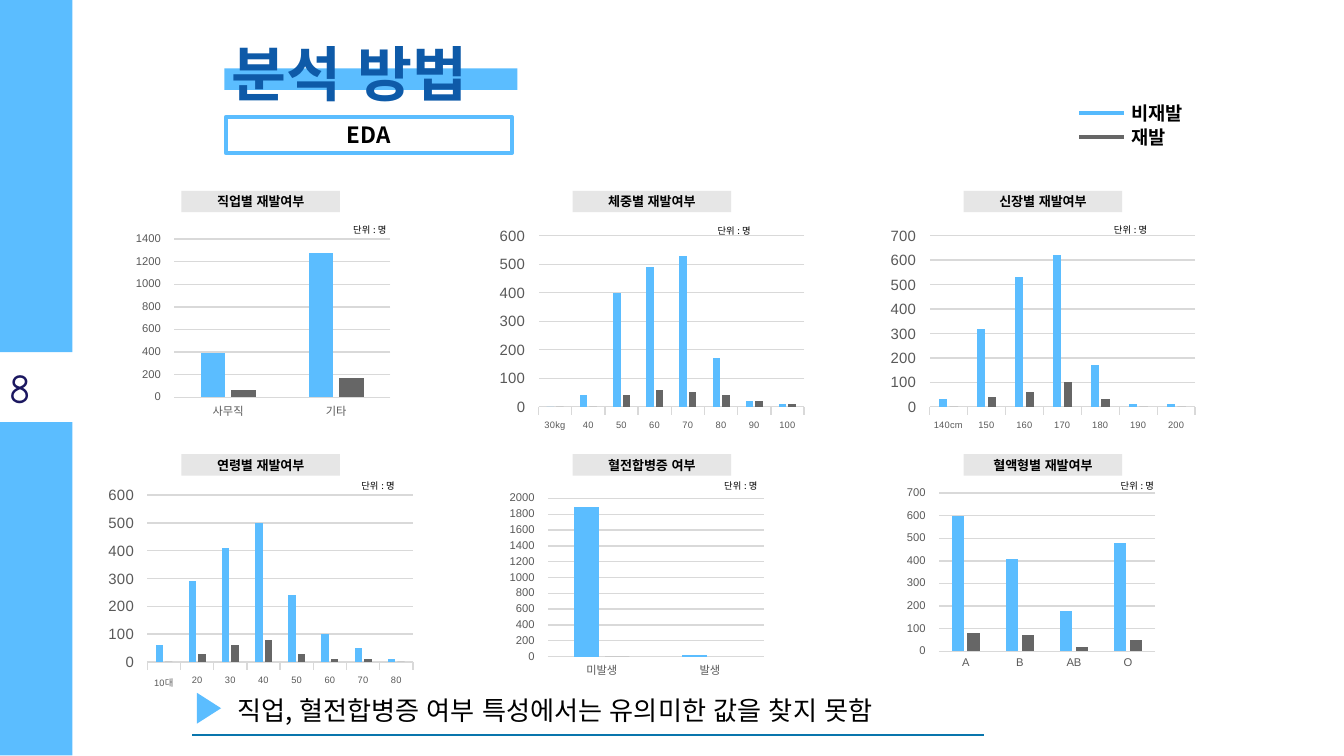
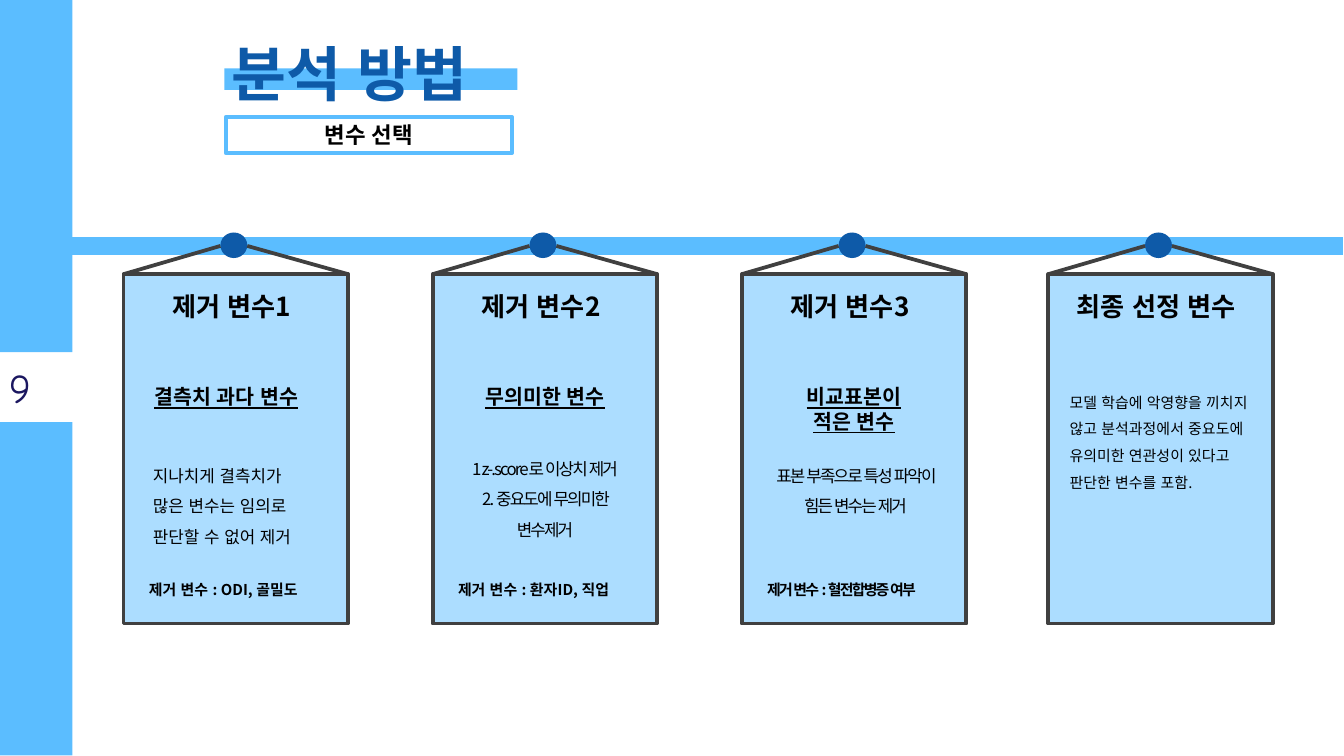
from lxml import etree
from pptx import Presentation
from pptx.chart.data import CategoryChartData
from pptx.dml.color import RGBColor
from pptx.enum.chart import XL_CHART_TYPE, XL_TICK_MARK
from pptx.enum.lang import MSO_LANGUAGE_ID
from pptx.enum.shapes import MSO_CONNECTOR, MSO_SHAPE
from pptx.enum.text import MSO_ANCHOR, PP_ALIGN
from pptx.oxml import parse_xml
from pptx.oxml.ns import nsdecls, qn
from pptx.util import Pt

PX = 9144  # 100 px to the inch
RECT, OVAL, TRIANGLE = MSO_SHAPE.RECTANGLE, MSO_SHAPE.OVAL, MSO_SHAPE.ISOSCELES_TRIANGLE
LEFT, CENTER = PP_ALIGN.LEFT, PP_ALIGN.CENTER
TOP, MIDDLE = MSO_ANCHOR.TOP, MSO_ANCHOR.MIDDLE
COLUMNS = XL_CHART_TYPE.COLUMN_CLUSTERED
TICK_OUT, TICK_NONE = XL_TICK_MARK.OUTSIDE, XL_TICK_MARK.NONE
STRAIGHT = MSO_CONNECTOR.STRAIGHT
KOREAN_LANGUAGE = MSO_LANGUAGE_ID.KOREAN

COLORS = {
    "sky": "5BBDFF", "legend_sky": "55BAFD", "blue": "0E5AA8", "rule": "0976AD",
    "navy": "1B1760", "gray": "666666", "label": "E6E6E6", "grid": "D9D9D9",
    "axis": "595959", "frame": "404040", "white": "FFFFFF", "black": "000000",
}
KOREAN, LATIN, NUMBER = "Noto Sans CJK KR", "Arial", "Comic Neue"

TITLE = "분석 방법"
UNIT = "단위 : 명"
FINDING = "직업, 혈전합병증 여부 특성에서는 유의미한 값을 찾지 못함"
LEGEND = [("비재발", "legend_sky", 84), ("재발", "gray", 102)]

# "few" charts have a fixed plot area; "scale" is the axis maximum and its step
CHARTS = [
    {"label": "직업별 재발여부", "at": (76, 166), "unit_at": (253, 162), "few": True,
     "scale": (1400, 200), "categories": ["사무직", "기타"],
     "series": [[390, 1280], [60, 170]]},
    {"label": "체중별 재발여부", "at": (367, 166), "unit_at": (524, 163), "few": False,
     "scale": (600, 100), "categories": ["30kg", "40", "50", "60", "70", "80", "90", "100"],
     "series": [[0, 40, 400, 490, 530, 170, 20, 10], [0, 0, 40, 60, 50, 40, 20, 10]]},
    {"label": "신장별 재발여부", "at": (658, 166), "unit_at": (819, 162), "few": False,
     "scale": (700, 100), "categories": ["140cm", "150", "160", "170", "180", "190", "200"],
     "series": [[30, 320, 530, 620, 170, 10, 10], [0, 40, 60, 100, 30, 0, 0]]},
    {"label": "연령별 재발여부", "at": (76, 359), "unit_at": (259, 352), "few": False,
     "scale": (600, 100), "categories": ["10대", "20", "30", "40", "50", "60", "70", "80"],
     "series": [[60, 290, 410, 500, 240, 100, 50, 10], [0, 30, 60, 80, 30, 10, 10, 0]]},
    {"label": "혈전합병증 여부", "at": (354, 359), "unit_at": (529, 352), "few": True,
     "scale": (2000, 200), "categories": ["미발생", "발생"],
     "series": [[1890, 20], [0]]},
    {"label": "혈액형별 재발여부", "at": (645, 355), "unit_at": (824, 352), "few": True,
     "scale": (700, 100), "categories": ["A", "B", "AB", "O"],
     "series": [[600, 410, 180, 480], [80, 70, 20, 50]]},
]

# "body_box" is the offset from the card's left edge, the top and the width
CARDS = [
    {"left": 92, "name": "제거 변수1", "reason": ["결측치 과다 변수"], "reason_align": LEFT,
     "body": ["지나치게 결측치가", "많은 변수는 임의로", "판단할 수 없어 제거"],
     "body_box": (12, 334, 194), "body_style": {"size": 9},
     "removed": "제거 변수 : ODI, 골밀도"},
    {"left": 322, "name": "제거 변수2", "reason": ["무의미한 변수"],
     "body": ["1 z-.score로 이상치 제거", "2. 중요도에 무의미한 변수제거"],
     "body_box": (8, 329, 151), "body_style": {"size": 9, "align": CENTER, "tracking": -1},
     "removed": "제거 변수 : 환자ID, 직업"},
    {"left": 552, "name": "제거 변수3", "reason": ["비교표본이", "적은 변수"],
     "body": ["표본 부족으로 특성 파악이 힘든 변수는 제거"],
     "body_box": (11, 334, 147), "body_style": {"size": 9, "align": CENTER, "tracking": -1},
     "removed": "제거 변수 : 혈전합병증 여부", "removed_tracking": -1},
    {"left": 780, "name": "최종 선정 변수", "reason": [],
     "body": ["모델 학습에 악영향을 끼치지 않고 분석과정에서 중요도에 "
              "유의미한 연관성이 있다고 판단한 변수를 포함."],
     "body_box": (6, 281, 155), "body_style": {"size": 8}, "removed": ""},
]


def rgb(color):
    return RGBColor.from_string(COLORS[color])


def emu(*lengths):
    return [length * PX for length in lengths]


def write(frame, lines, size, color="black", font=KOREAN, bold=False, underline=False,
          align=LEFT, anchor=TOP, spacing=None, tracking=0):
    frame.word_wrap = True
    frame.vertical_anchor = anchor
    frame.text = "\n".join(lines)
    for paragraph in frame.paragraphs:
        paragraph.alignment = align
        if spacing:
            paragraph.line_spacing = spacing
        style = paragraph.font
        style.size, style.bold = Pt(size), bold
        style.underline = underline
        style.language_id = KOREAN_LANGUAGE
        style.color.rgb = rgb(color)
        style.name = font
        properties = paragraph._p.pPr.find(qn("a:defRPr"))
        properties.set("kern", "0")
        etree.SubElement(properties, qn("a:ea")).set("typeface", font)
        if tracking:
            properties.set("spc", str(tracking * 100))


def add_text(slide, box, lines, size, **style):
    write(slide.shapes.add_textbox(*emu(*box)).text_frame, lines, size, **style)


def add_block(slide, box, fill, kind=RECT, outline=None, alpha=None):
    block = slide.shapes.add_shape(kind, *emu(*box))
    block.shadow.inherit = False
    block.fill.solid()
    block.fill.fore_color.rgb = rgb(fill)
    if alpha:
        color = block._element.spPr.find(".//" + qn("a:srgbClr"))
        etree.SubElement(color, qn("a:alpha")).set("val", str(alpha * 1000))
    if outline:
        block.line.color.rgb = rgb(outline)
        block.line.width = Pt(2)
    else:
        block.line.fill.background()
    return block


def add_line(slide, start, end, color, width):
    line = slide.shapes.add_connector(STRAIGHT, *emu(*start, *end))
    line.line.color.rgb = rgb(color)
    line.line.width = Pt(width)
    etree.SubElement(line._element.spPr, qn("a:effectLst"))


def add_page(deck, number, subtitle):
    """Add a slide with the side band, title, subtitle box and page number."""
    slide = deck.slides.add_slide(deck.slide_layouts[5])
    add_block(slide, (167, 51, 218, 16), "sky")
    title = slide.shapes.title
    title.left, title.top, title.width, title.height = emu(162, 22, 553, 63)
    write(title.text_frame, [TITLE], 32, color="blue", bold=True)
    slide.shapes._spTree.append(title._element)  # in front of the highlight bar
    for top, height in ((0, 262), (314, 248)):
        add_block(slide, (0, top, 54, height), "sky")
    add_text(slide, (-3, 265, 77, 47), [str(number)], 22, color="navy", font=NUMBER)
    heading = add_block(slide, (168, 87, 213, 27), "white", outline="sky")
    write(heading.text_frame, [subtitle], 12, bold=True, align=CENTER, anchor=MIDDLE)
    return slide


def fix_plot_area(chart):
    edges = zip("xywh", (0.227, 0.076, 0.682, 0.75))
    modes = '<c:xMode val="edge"/><c:yMode val="edge"/>'
    sizes = "".join(f'<c:{edge} val="{share}"/>' for edge, share in edges)
    area = chart._chartSpace.chart.plotArea
    for old in area.findall(qn("c:layout")):
        area.remove(old)
    area.insert(0, parse_xml(
        f'<c:layout {nsdecls("c")}><c:manualLayout><c:layoutTarget val="inner"/>'
        f"{modes}{sizes}</c:manualLayout></c:layout>"))


def style_axis(axis, size, tick):
    axis.major_tick_mark, axis.minor_tick_mark = tick, TICK_NONE
    font = axis.tick_labels.font
    font.size, font.name = Pt(size), LATIN
    font.color.rgb = rgb("axis")


def style_grid_line(line):
    line.color.rgb = rgb("grid")
    line.width = Pt(0.75)


def add_columns(slide, content):
    data = CategoryChartData()
    data.categories = content["categories"]
    for number, values in enumerate(content["series"], 1):
        data.add_series(f"Series {number}", values)
    chart = slide.shapes.add_chart(COLUMNS, *emu(*content["at"], 236, 157), data).chart
    chart.has_legend = chart.has_title = False
    chart.font.size, chart.font.name = Pt(10), LATIN
    chart.font.color.rgb = rgb("black")

    plot = chart.plots[0]
    plot.gap_width, plot.overlap = 219, -27
    plot.vary_by_categories = False
    for series, color in zip(plot.series, ("sky", "gray")):
        series.format.fill.solid()
        series.format.fill.fore_color.rgb = rgb(color)

    few = content["few"]
    categories, values = chart.category_axis, chart.value_axis
    style_axis(categories, 6 if few else 5, TICK_NONE if few else TICK_OUT)
    style_axis(values, 6 if few else 8, TICK_OUT)
    style_grid_line(categories.format.line)
    style_grid_line(values.major_gridlines.format.line)
    values.format.line.fill.background()
    values.minimum_scale = 0
    values.maximum_scale, values.major_unit = content["scale"]
    if few:
        fix_plot_area(chart)


def build_eda(deck):
    slide = add_page(deck, 8, "EDA")
    for index, content in enumerate(CHARTS):
        row, column = divmod(index, 3)
        add_columns(slide, content)
        label = add_block(slide, (135 + 291 * column, 142 + 196 * row, 118, 16), "label")
        write(label.text_frame, [content["label"]], 7, bold=True, align=CENTER, anchor=MIDDLE)
        add_text(slide, (*content["unit_at"], 52, 19), [UNIT], 5)
    for name, color, y in LEGEND:
        add_line(slide, (803, y), (836, y), color, 2.25)
        add_text(slide, (832, y - 13, 63, 27), [name], 10, font=LATIN, bold=True)
    add_line(slide, (143, 547), (732, 547), "rule", 0.75)
    add_text(slide, (167, 512, 654, 34), [FINDING], 14)
    add_block(slide, (144, 518, 23, 18), "sky", TRIANGLE).rotation = 90


def add_card(slide, card):
    left, width, top, rail = card["left"], 167, 204, 183
    add_block(slide, (left + 72, 173, 20, 19), "blue", OVAL)
    add_block(slide, (left, top, width, 260), "sky", outline="frame", alpha=50)
    add_line(slide, (left, top), (left + 72, rail), "frame", 2)
    add_line(slide, (left + width, top), (left + 92, rail), "frame", 2)
    add_text(slide, (left + 3, 211, 155, 34), [card["name"]], 14, bold=True,
             align=CENTER, anchor=MIDDLE)
    if card["reason"]:
        add_text(slide, (left + 13, 281, 141, 28), card["reason"], 11, bold=True,
                 underline=True, align=card.get("reason_align", CENTER))
    offset, body_top, body_width = card["body_box"]
    add_text(slide, (left + offset, body_top, body_width, 77), card["body"],
             spacing=1.5, **card["body_style"])
    if card["removed"]:
        add_text(slide, (left + 9, 427, 150, 24), [card["removed"]], 8, bold=True,
                 tracking=card.get("removed_tracking", 0))


def build_selection(deck):
    slide = add_page(deck, 9, "변수 선택")
    add_line(slide, (53, 183), (999, 183), "sky", 10)
    for card in CARDS:
        add_card(slide, card)


def main():
    deck = Presentation()
    deck.slide_width = 1000 * PX
    deck.slide_height = deck.slide_width * 9 // 16
    build_eda(deck)
    build_selection(deck)
    deck.save("out.pptx")


if __name__ == "__main__":
    main()
